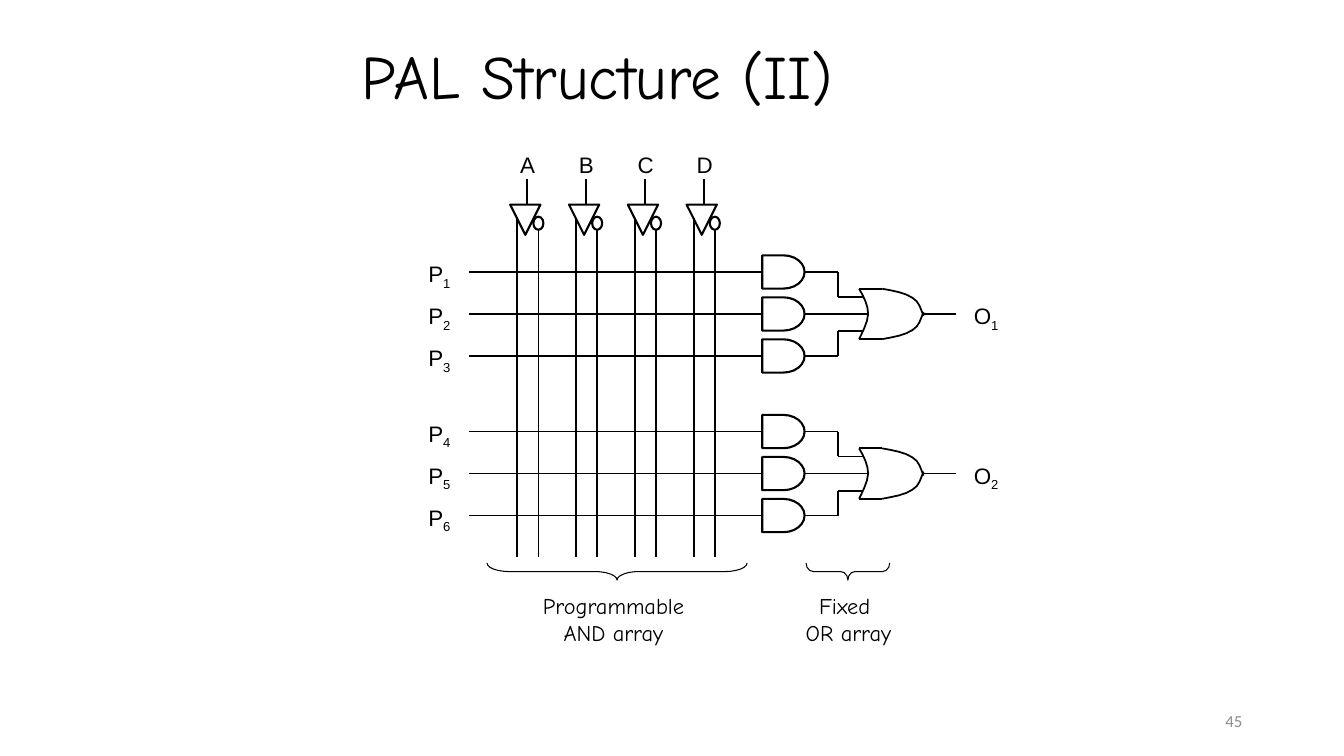
from dataclasses import dataclass

from lxml.etree import SubElement
from pptx import Presentation
from pptx.dml.color import RGBColor
from pptx.enum.shapes import MSO_CONNECTOR, MSO_SHAPE
from pptx.enum.text import MSO_ANCHOR, PP_ALIGN
from pptx.oxml.ns import qn
from pptx.util import Inches, Pt


@dataclass(frozen=True)
class Theme:
    ink: RGBColor = RGBColor(0, 0, 0)
    muted: RGBColor = RGBColor(0x8C, 0x8C, 0x8C)
    heading_font: str = "Comic Neue"
    label_font: str = "Arial"
    number_font: str = "Calibri"
    title_size: int = 44
    label_size: int = 16
    number_size: int = 12
    gate_line: float = 1.5
    wire_line: float = 1.25
    brace_line: float = 0.75


THEME = Theme()
LEFT, RIGHT = 1, 3
COLUMN_PITCH = 7 / 12
ROW_PITCH = 5 / 12
OUTPUT_PITCH = 19 / 12


def add_text(slide, box, text, font=THEME.label_font, size=THEME.label_size,
             color=THEME.ink, align=PP_ALIGN.LEFT, anchor=MSO_ANCHOR.TOP):
    frame = slide.shapes.add_textbox(*map(Inches, box)).text_frame
    frame.text = text
    frame.word_wrap = True
    frame.vertical_anchor = anchor
    for paragraph in frame.paragraphs:
        paragraph.alignment = align
        for run in paragraph.runs:
            run.font.name = font
            run.font.size = Pt(size)
            run.font.color.rgb = color
    return frame


def add_signal_label(slide, left, middle, letter, index):
    """Write a letter with a subscript number, beside the wire at height middle."""
    frame = add_text(slide, (left, middle - 0.165, 0.5, 0.37), letter)
    subscript = frame.paragraphs[0].add_run()
    subscript.text = str(index)
    subscript.font.name = THEME.label_font
    subscript.font.size = Pt(THEME.label_size)
    subscript.font.color.rgb = THEME.ink
    subscript._r.get_or_add_rPr().set("baseline", "-25000")


def outline(shape, width):
    shape.shadow.inherit = False
    shape.fill.background()
    shape.line.color.rgb = THEME.ink
    shape.line.width = Pt(width)
    return shape


def add_symbol(slide, kind, box, width=THEME.gate_line, rotation=0):
    symbol = outline(slide.shapes.add_shape(kind, *map(Inches, box)), width)
    symbol.rotation = rotation
    return symbol


def add_wire(slide, x1, y1, x2, y2):
    wire = slide.shapes.add_connector(
        MSO_CONNECTOR.STRAIGHT, *map(Inches, (x1, y1, x2, y2)))
    wire.line.color.rgb = THEME.ink
    wire.line.width = Pt(THEME.wire_line)
    SubElement(wire._element.spPr, qn("a:effectLst"))
    return wire


def bezier(corners, steps=4):
    """Return points along a cubic curve, leaving out its start."""
    def point(t):
        weights = ((1 - t) ** 3, 3 * t * (1 - t) ** 2, 3 * t * t * (1 - t), t ** 3)
        return tuple(sum(w * c[axis] for w, c in zip(weights, corners))
                     for axis in (0, 1))
    return [point(step / steps) for step in range(1, steps + 1)]


def add_arc(slide, left, middle, corners):
    """Draw two joined cubic curves, given by seven corners around (left, middle)."""
    points = [(Inches(left + x), Inches(middle + y))
              for x, y in (corners[0], *bezier(corners[:4]), *bezier(corners[3:]))]
    builder = slide.shapes.build_freeform(*points[0])
    builder.add_line_segments(points[1:], close=False)
    outline(builder.convert_to_shape(), THEME.wire_line)


def add_or_gate(slide, left, middle):
    """Draw an OR gate 0.64 wide and 0.5 high, centred on the height middle."""
    back = [(0, -0.25), (0.05, -0.17), (0.09, -0.08), (0.09, 0),
            (0.09, 0.08), (0.02, 0.21), (0, 0.25)]
    front = [(0.23, -0.25), (0.34, -0.23), (0.46, -0.21), (0.53, -0.16),
             (0.6, -0.12), (0.61, -0.05), (0.64, 0.02)]
    add_arc(slide, left, middle, back)
    for side in (1, -1):
        edge = middle - side * 0.25
        add_wire(slide, left, edge, left + 0.23, edge)
        add_arc(slide, left, middle, [(x, side * y) for x, y in front])


def draw_title(slide, box):
    frame = add_text(slide, box, "PAL Structure (II)", THEME.heading_font,
                     THEME.title_size, anchor=MSO_ANCHOR.MIDDLE)
    frame.paragraphs[0].line_spacing = 0.9


def draw_input(slide, box, letter):
    """Draw an input with its buffer and its true and inverted column wires."""
    left, top, width, height = box
    bottom = top + height
    add_text(slide, (left, top, width, 0.37), letter)
    add_wire(slide, left + 0.17, top + 0.33, left + 0.17, top + 0.58)
    add_symbol(slide, MSO_SHAPE.FLOWCHART_EXTRACT,
               (left, top + 0.58, 0.3, 0.3), rotation=180)
    add_symbol(slide, MSO_SHAPE.OVAL, (left + 0.23, top + 0.7, 0.1, 0.13))
    add_wire(slide, left + 0.07, top + 0.71, left + 0.07, bottom)
    add_wire(slide, left + 0.28, top + 0.83, left + 0.28, bottom)


def draw_output(slide, box, number):
    """Draw three product terms, their AND gates and the OR gate they feed."""
    left, top, width, height = box
    middle = top + height / 2
    gate_height = 0.33
    gate_left, bend, or_left = left + 3.41, left + 4.16, left + 4.37
    for side in (-1, 0, 1):
        y = middle + side * ROW_PITCH
        add_signal_label(slide, left, y, "P", 3 * number - 1 + side)
        and_gate = add_symbol(
            slide, MSO_SHAPE.FLOWCHART_DELAY,
            (gate_left, y - gate_height / 2, 0.42, gate_height))
        product = add_wire(slide, gate_left, y, left + 0.5, y)
        product.begin_connect(and_gate, LEFT)
        feed_end = bend if side else or_left + 0.1
        feed = add_wire(slide, gate_left + 0.42, y, feed_end, y)
        feed.begin_connect(and_gate, RIGHT)
        if side:
            or_input = middle + side * 0.17
            add_wire(slide, bend, y, bend, or_input)
            add_wire(slide, bend, or_input, or_left + 0.04, or_input)
    add_or_gate(slide, or_left, middle)
    add_wire(slide, or_left + 0.64, middle, left + 5.33, middle)
    add_signal_label(slide, left + width - 0.5, middle, "O", number)


def draw_array_caption(slide, box, text, brace_center, brace_width, curl):
    """Place a caption under a downward brace."""
    top = box[1]
    depth = 0.17
    brace = add_symbol(
        slide, MSO_SHAPE.LEFT_BRACE,
        (brace_center - depth / 2, top - 0.16 - brace_width / 2, depth, brace_width),
        THEME.brace_line, rotation=270)
    brace.adjustments[0] = curl
    brace.adjustments[1] = 0.5
    add_text(slide, box, text, THEME.heading_font, align=PP_ALIGN.CENTER)


def draw_page_number(slide, box):
    add_text(slide, box, "45", THEME.number_font, THEME.number_size,
             THEME.muted, PP_ALIGN.RIGHT, MSO_ANCHOR.MIDDLE)


def main():
    presentation = Presentation()
    presentation.slide_width = Inches(13.33)
    presentation.slide_height = Inches(7.5)
    slide = presentation.slides.add_slide(presentation.slide_layouts[6])

    draw_title(slide, (3.49, 0.23, 8.15, 1.11))
    for column, letter in enumerate("ABCD"):
        draw_input(slide, (5.06 + column * COLUMN_PITCH, 1.45, 0.42, 4.08), letter)
    for row in range(2):
        draw_output(slide, (4.15, 2.53 + row * OUTPUT_PITCH, 5.91, 1.17), row + 1)
    draw_array_caption(slide, (5.17, 5.83, 1.83, 0.64), "Programmable AND array",
                       6.12, 2.58, 1.29)
    draw_array_caption(slide, (7.83, 5.83, 1.17, 0.64), "Fixed \nOR array",
                       8.41, 0.83, 0.42)
    draw_page_number(slide, (9.42, 6.95, 3, 0.4))
    presentation.save("out.pptx")


if __name__ == "__main__":
    main()
